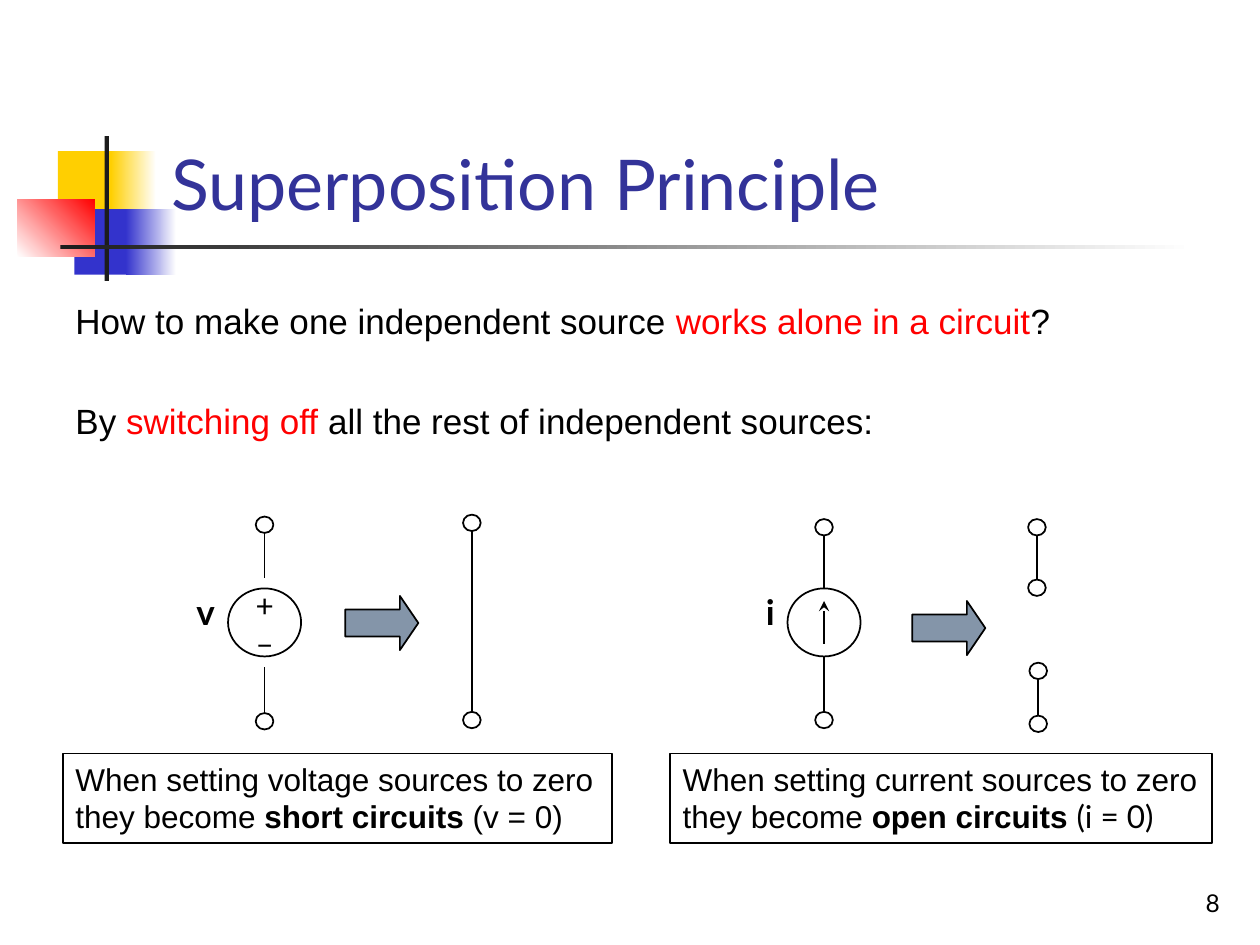
from dataclasses import dataclass

from pptx import Presentation, util as u
from pptx.dml.color import RGBColor
from pptx.enum import shapes, text
from pptx.oxml import parse_xml
from pptx.oxml.ns import nsdecls, qn

BLACK = RGBColor(0, 0, 0)
WHITE = RGBColor(255, 255, 255)
RED = RGBColor(255, 0, 0)
YELLOW = RGBColor(0xFF, 0xCF, 0x01)
BLUE = RGBColor(0x33, 0x33, 0xCC)
CHARCOAL = RGBColor(0x1C, 0x1C, 0x1C)
TITLE_BLUE = RGBColor(0x33, 0x33, 0x99)
ARROW_GREY = RGBColor(0x84, 0x95, 0xA9)
SLIDE_WIDTH, SLIDE_HEIGHT = u.Inches(10), u.Inches(7.5)
COLUMNS, ROWS = 100, 75
CENTER, RIGHT = text.PP_ALIGN.CENTER, text.PP_ALIGN.RIGHT
KIND = shapes.MSO_SHAPE


@dataclass
class Box:
    """A region measured in grid columns and rows."""
    left: float
    top: float
    width: float
    height: float

    def inner(self, x, y, width, height):
        """Return a region offset from this one's corner."""
        return Box(self.left + x, self.top + y, width, height)

    def place(self):
        """Return left, top, width and height as slide lengths."""
        return (across(self.left), down(self.top), across(self.width), down(self.height))


def across(columns):
    """Turn columns into a length."""
    return u.Emu(round(SLIDE_WIDTH * columns / COLUMNS))


def down(rows):
    """Turn rows into a length."""
    return u.Emu(round(SLIDE_HEIGHT * rows / ROWS))


def draw(slide, kind, box, fill=None, outlined=True):
    """Add a preset shape with a solid or no fill and a thin black outline."""
    shape = slide.shapes.add_shape(kind, *box.place())
    shape.shadow.inherit = False
    if fill is None:
        shape.fill.background()
    else:
        shape.fill.solid()
        shape.fill.fore_color.rgb = fill
    if outlined:
        shape.line.color.rgb = BLACK
        shape.line.width = u.Pt(1)
    else:
        shape.line.fill.background()
    return shape


def fade(slide, box, start, end, angle=0):
    """Add a rectangle that fades from one colour to another."""
    shape = draw(slide, KIND.RECTANGLE, box, outlined=False)
    shape.fill.gradient()
    shape.fill.gradient_angle = angle
    for stop, color in zip(shape.fill.gradient_stops, (start, end)):
        stop.color.rgb = color


def write(paragraph, runs, size, font="Arial", color=BLACK, align=None):
    """Fill a paragraph with (wording, font overrides) runs."""
    paragraph.font.size = u.Pt(size)
    paragraph.font.name = font
    paragraph.font.color.rgb = color
    paragraph.alignment = align
    for wording, overrides in runs:
        run = paragraph.add_run()
        run.text = wording
        run.font.bold = overrides.get("bold")
        if "font" in overrides:
            run.font.name = overrides["font"]
        if "color" in overrides:
            run.font.color.rgb = overrides["color"]


def text_area(slide, box, wrap=True, anchor=text.MSO_ANCHOR.TOP):
    """Add an empty text box and return its frame."""
    frame = slide.shapes.add_textbox(*box.place()).text_frame
    frame.word_wrap = wrap
    frame.vertical_anchor = anchor
    return frame


def wire(slide, x, start, end, arrow=False):
    """Add a vertical conductor, with an arrowhead at its end if asked."""
    line = slide.shapes.add_connector(shapes.MSO_CONNECTOR.STRAIGHT, across(x),
                                      down(start), across(x), down(end))
    line.line.color.rgb = BLACK
    line.line.width = u.Pt(1)
    properties = line._element.spPr
    if arrow:
        properties.find(qn("a:ln")).append(
            parse_xml(f'<a:tailEnd {nsdecls("a")} type="stealth"/>'))
    properties.append(parse_xml(f'<a:effectLst {nsdecls("a")}/>'))


def terminal(slide, x, y):
    """Add an open terminal centred on a point."""
    draw(slide, KIND.OVAL, Box(x - 0.7, y - 0.65, 1.4, 1.3), WHITE)


def decoration(slide, box):
    """Draw the coloured squares and the crossed bars beside the title."""
    draw(slide, KIND.RECTANGLE, box.inner(3.2, 1.2, 4.8, 5.2), YELLOW, False)
    fade(slide, box.inner(7.4, 1.2, 3.6, 5.2), YELLOW, WHITE)
    draw(slide, KIND.RECTANGLE, box.inner(4.5, 5.8, 4.6, 5.2), BLUE, False)
    fade(slide, box.inner(8.6, 5.8, 4, 5.2), BLUE, WHITE)
    fade(slide, box.inner(0, 5, 6.1, 4.6), WHITE, RED, 45)
    draw(slide, KIND.RECTANGLE, box.inner(6.9, 0, 0.35, box.height), CHARCOAL, False)
    fade(slide, box.inner(3.4, 8.65, 90, 0.35), CHARCOAL, WHITE)


def title(slide, box):
    """Write the slide title at the foot of its box."""
    frame = text_area(slide, box, anchor=text.MSO_ANCHOR.BOTTOM)
    write(frame.paragraphs[0], [("Superposition Principle", {})], 40, "Lato", TITLE_BLUE)


def question(slide, box):
    """Write the question and its answer."""
    frame = text_area(slide, box)
    red = {"color": RED}
    write(frame.paragraphs[0], [("How to make one independent source ", {}),
                                ("works alone in a circuit", red), ("?", {})], 20)
    answer = frame.add_paragraph()
    answer.space_before = u.Pt(33)
    write(answer, [("By ", {}), ("switching off", red),
                   (" all the rest of independent sources:", {})], 20)


def source(slide, box, letter, letter_x, ends, wire_gap):
    """Draw a lettered source with a terminal above and below."""
    middle = box.left + box.width / 2
    upper, lower = (box.top + end for end in ends)
    frame = text_area(slide, box.inner(letter_x, 5.4, 3, 4.4), wrap=False)
    write(frame.paragraphs[0], [(letter, {"bold": True})], 20, "Lato", align=CENTER)
    draw(slide, KIND.OVAL, box.inner(0, 5.7, box.width, 5.4))
    for y in (upper, lower):
        terminal(slide, middle, y)
    wire(slide, middle, upper + 0.65, box.top + 5.7 - wire_gap)
    wire(slide, middle, lower - 0.65, box.top + 11.1 + wire_gap)


def becomes(slide, box):
    """Draw the block arrow between a source and its replacement."""
    arrow = draw(slide, KIND.RIGHT_ARROW, box, ARROW_GREY)
    arrow.adjustments[0], arrow.adjustments[1] = 0.5, 0.34


def branch(slide, x, upper, lower):
    """Draw two terminals joined by a conductor."""
    for y in (upper, lower):
        terminal(slide, x, y)
    wire(slide, x, upper + 0.65, lower - 0.65)


def voltage_circuit(slide, box):
    """Draw the voltage source turning into a short circuit."""
    source(slide, box.inner(4.1, 0, 5.8, box.height), "v", -3.5, (0.65, 16.25), 0.8)
    signs = text_area(slide, box.inner(5.3, 5, 3.4, 7), wrap=False)
    write(signs.paragraphs[0], [("+", {})], 18, "Lato", align=CENTER)
    write(signs.add_paragraph(), [("–", {})], 18, "Lato", align=CENTER)
    becomes(slide, box.inner(13.4, 6.3, 5.8, 4.3))
    branch(slide, box.left + 23.45, box.top + 0.5, box.top + 16.15)


def current_circuit(slide, box):
    """Draw the current source turning into an open circuit."""
    source(slide, box.inner(3.5, 0, 5.8, box.height), "i", -2.85, (0.85, 16.15), 0)
    wire(slide, box.left + 6.4, box.top + 10.1, box.top + 6.7, arrow=True)
    becomes(slide, box.inner(13.4, 6.7, 5.8, 4.3))
    branch(slide, box.left + 23.3, box.top + 0.85, box.top + 5.65)
    branch(slide, box.left + 23.4, box.top + 12.25, box.top + 16.45)


def caption(slide, box, kind, result, equation, equation_font="Arial"):
    """Write a framed statement about one kind of source."""
    panel = draw(slide, KIND.RECTANGLE, box, WHITE)
    white = panel._element.spPr.find(qn("a:solidFill"))[0]
    white.append(parse_xml(f'<a:alpha {nsdecls("a")} val="50000"/>'))
    frame = panel.text_frame
    frame.word_wrap = True
    frame.vertical_anchor = text.MSO_ANCHOR.TOP
    write(frame.paragraphs[0], [
        (f"When setting {kind} sources to zero they become ", {}),
        (f"{result} circuits ", {"bold": True}),
        (equation, {"font": equation_font})], 18, align=text.PP_ALIGN.LEFT)


def page_number(slide, box):
    """Write the page number in the lower right corner."""
    frame = text_area(slide, box, anchor=text.MSO_ANCHOR.BOTTOM)
    write(frame.paragraphs[0], [("8", {})], 14, "Lato", align=RIGHT)


def main():
    """Build the slide and save it."""
    deck = Presentation()
    deck.slide_width, deck.slide_height = SLIDE_WIDTH, SLIDE_HEIGHT
    slide = deck.slides.add_slide(deck.slide_layouts[6])
    decoration(slide, Box(1.4, 10.8, 93.4, 11.5))
    title(slide, Box(12.6, 2.3, 85.2, 16))
    question(slide, Box(5, 23.3, 91.2, 14))
    voltage_circuit(slide, Box(14, 41, 24.2, 17))
    caption(slide, Box(5, 59.8, 43.6, 7.1), "voltage", "short", "(v = 0)")
    current_circuit(slide, Box(59, 41, 24.1, 17))
    caption(slide, Box(53.2, 59.8, 43, 7.1), "current", "open", "(i = 0)", "Lato")
    page_number(slide, Box(77, 68.3, 20.8, 5))
    deck.save("out.pptx")


if __name__ == "__main__":
    main()
